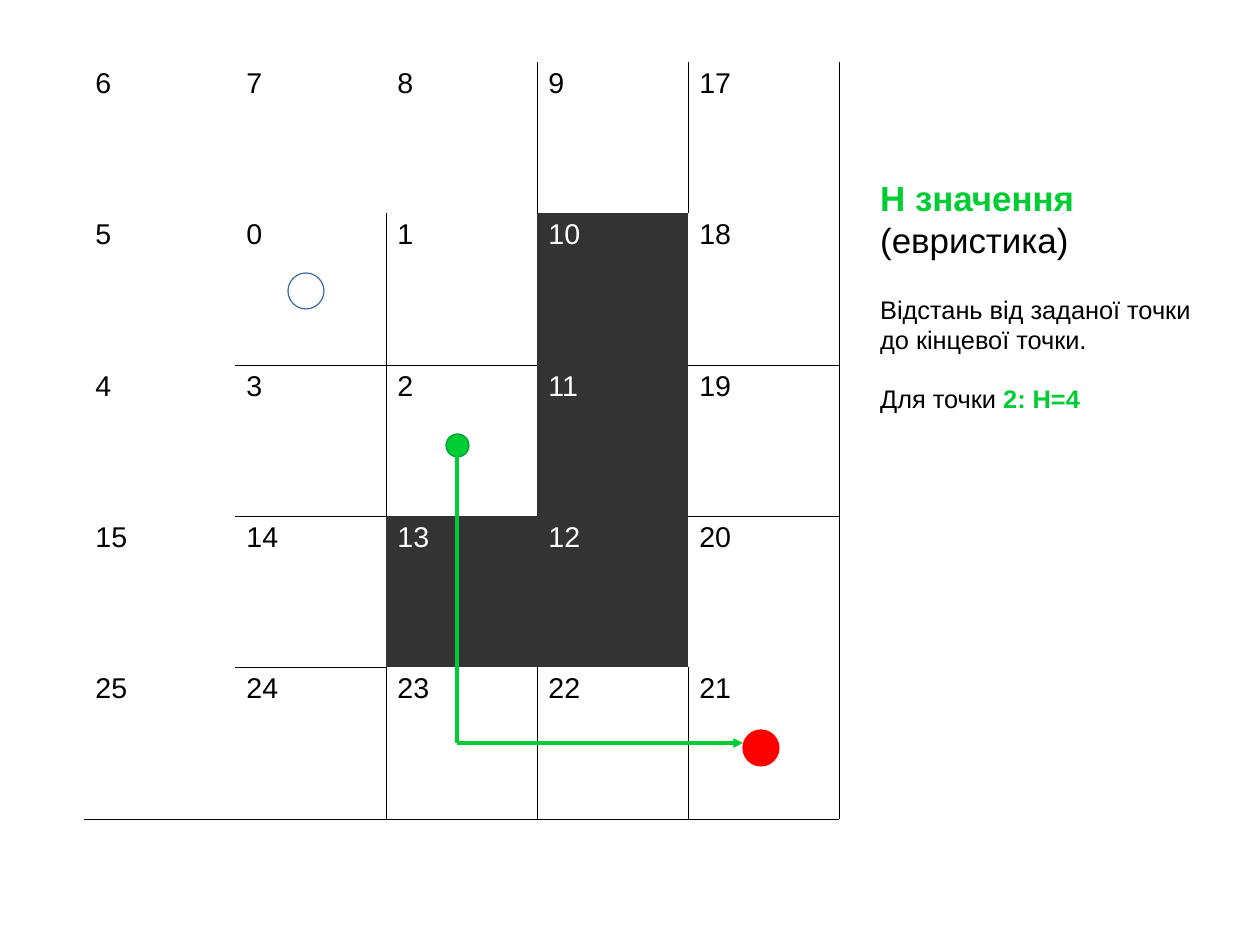
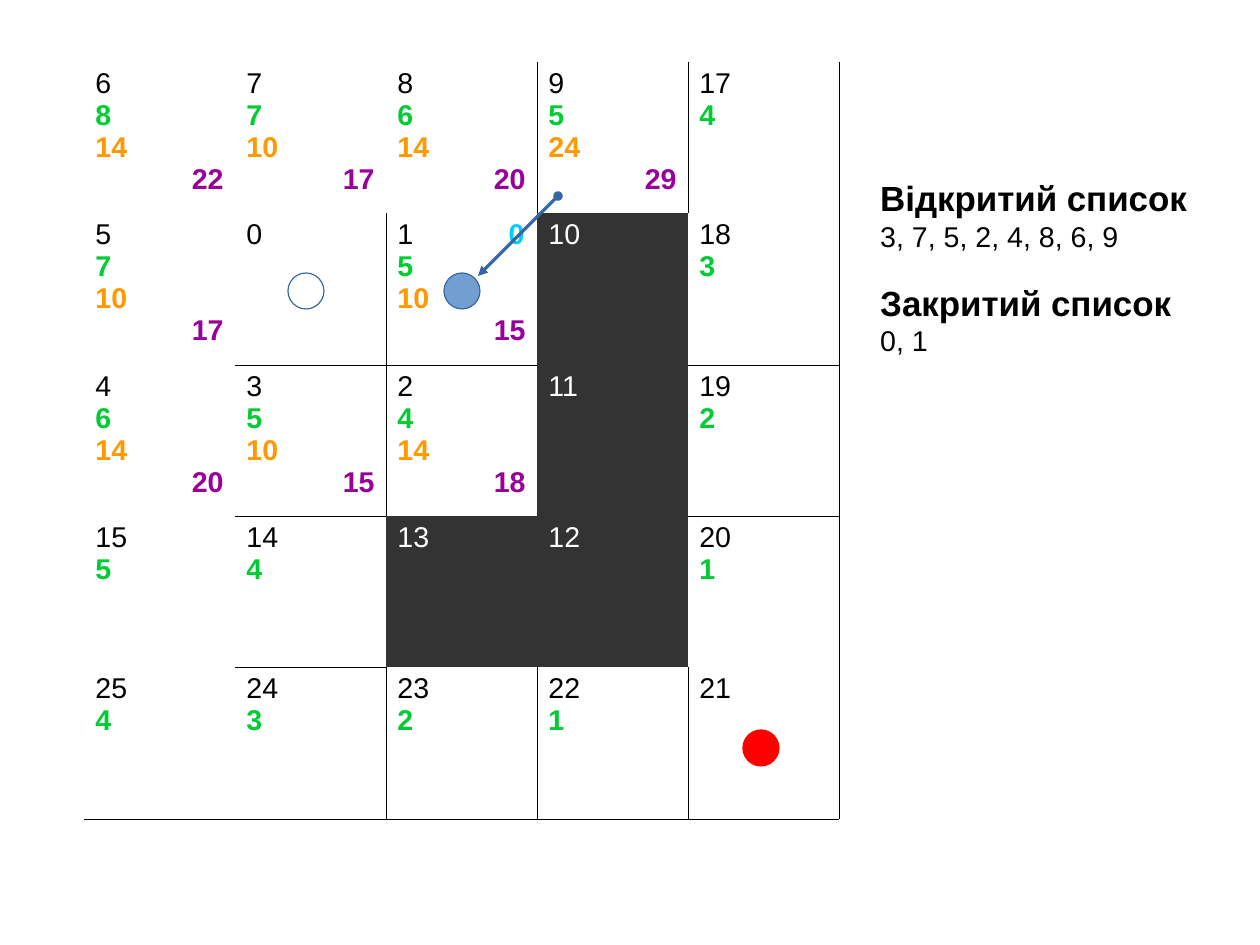
from dataclasses import dataclass

from lxml.etree import SubElement
from pptx import Presentation
from pptx.dml.color import RGBColor
from pptx.enum.shapes import MSO_CONNECTOR as CONN, MSO_SHAPE as SHAPE
from pptx.enum.text import PP_ALIGN as ALIGN
from pptx.oxml.ns import qn
from pptx.util import Emu, Pt


@dataclass(frozen=True)
class Theme:
    font: str = "Arial"
    ink: str = "000000"
    paper: str = "FFFFFF"
    wall: str = "333333"
    h: str = "00CC33"
    g: str = "FF9900"
    f: str = "990099"
    order: str = "00CCFF"
    goal: str = "FF0000"
    outline: str = "3465A4"
    current: str = "729FCF"
    point_outline: str = "009933"
    title: int = 22
    body: int = 18
    note: int = 16


T = Theme()
EMU_PER_PX = 8000
SLIDE_W, SLIDE_H = 1260, 945
BORDER_W = 762

# Maze content
GRID = [
    [6, 7, 8, 9, 17],
    [5, 0, 1, 10, 18],
    [4, 3, 2, 11, 19],
    [15, 14, 13, 12, 20],
    [25, 24, 23, 22, 21],
]
WALLS = {10, 11, 12, 13}
START, GOAL, CURRENT = 0, 21, 1
GOAL_ROW, GOAL_COL = 4, 4
G_VALUES = {6: 14, 7: 10, 8: 14, 9: 24, 5: 10, 1: 10, 4: 14, 3: 10, 2: 14}

# Columns with a line on their right, and on their bottom, for each row
RIGHT_LINES = [{2, 3, 4}, {1, 4}, {1, 4}, {4}, {1, 2, 3, 4}]
BOTTOM_LINES = [set(), {1, 2, 4}, {1, 4}, {1}, {0, 1, 2, 3, 4}]

TABLE_X, TABLE_Y, COL_W = 84, 62, 151
ROW_H = [151, 152, 151, 151, 152]
ORDER_TAB = 127

# Side text: paragraphs of (text, format) runs
TITLE = dict(size=T.title, bold=True)
H_TEXT = [
    [("H значення ", dict(TITLE, color=T.h)), ("(евристика)", dict(size=T.title))],
    [("Відстань від заданої точки до кінцевої точки.", dict(size=T.note, before=21))],
    [("Для точки ", dict(size=T.note, before=18)),
     ("2: H=4", dict(size=T.note, color=T.h, bold=True))],
]
LISTS_TEXT = [
    [("Відкритий список", TITLE)],
    [("3, 7, 5, 2, 4, 8, 6, 9", {})],
    [("Закритий список", dict(TITLE, before=18))],
    [("0, 1", {})],
]


def px(n):
    return Emu(n * EMU_PER_PX)


def rgb(color):
    return RGBColor.from_string(color)


def put(tf, text, size=T.body, color=T.ink, bold=False, align=None, before=None, join=False):
    """Add text as a new paragraph, or as a run of the last one if join is set."""
    p = tf.paragraphs[-1]
    if p.runs and not join:
        p = tf.add_paragraph()
    if align is not None:
        p.alignment = align
    if before is not None:
        p.space_before = Pt(before)
    r = p.add_run()
    r.text = text
    r.font.name, r.font.size, r.font.bold = T.font, Pt(size), bold
    r.font.color.rgb = rgb(color)
    return p


def set_borders(cell, **shown):
    tc_pr = cell._tc.get_or_add_tcPr()
    for side in "LRTB":
        ln = SubElement(tc_pr, qn(f"a:ln{side}"), w=str(BORDER_W if shown[side] else 0))
        if shown[side]:
            fill = SubElement(ln, qn("a:solidFill"))
            SubElement(fill, qn("a:srgbClr"), val=T.ink)
        else:
            SubElement(ln, qn("a:noFill"))


def put_scores(tf, p, n, row, col):
    """Write the H, G and F values of a cell below its number."""
    if n in WALLS or n in (START, GOAL):
        return
    if n == CURRENT:
        tabs = SubElement(p._p.get_or_add_pPr(), qn("a:tabLst"))
        SubElement(tabs, qn("a:tab"), pos=str(px(ORDER_TAB)), algn="r")
        put(tf, "\t0", color=T.order, bold=True, join=True)
    h = abs(GOAL_ROW - row) + abs(GOAL_COL - col)
    put(tf, str(h), color=T.h, bold=True)
    if n in G_VALUES:
        g = G_VALUES[n]
        put(tf, str(g), color=T.g, bold=True)
        put(tf, str(g + h), color=T.f, bold=True, align=ALIGN.RIGHT)


def add_maze(s, scores):
    table = s.shapes.add_table(len(GRID), len(GRID[0]), px(TABLE_X), px(TABLE_Y),
                               px(COL_W * len(GRID[0])), px(sum(ROW_H))).table
    table.first_row = table.horz_banding = False
    for column in table.columns:
        column.width = px(COL_W)
    for row, numbers in enumerate(GRID):
        table.rows[row].height = px(ROW_H[row])
        for col, n in enumerate(numbers):
            cell = table.cell(row, col)
            set_borders(cell,
                        L=col - 1 in RIGHT_LINES[row],
                        R=col in RIGHT_LINES[row],
                        T=row > 0 and col in BOTTOM_LINES[row - 1],
                        B=col in BOTTOM_LINES[row])
            cell.fill.solid()
            cell.fill.fore_color.rgb = rgb(T.wall if n in WALLS else T.paper)
            tf = cell.text_frame
            p = put(tf, str(n), color=T.paper if n in WALLS else T.ink)
            if scores:
                put_scores(tf, p, n, row, col)


def add_dot(s, x, y, fill, line, size=36):
    sp = s.shapes.add_shape(SHAPE.OVAL, px(x), px(y), px(size), px(size))
    sp.shadow.inherit = False
    sp.fill.solid()
    sp.fill.fore_color.rgb = rgb(fill)
    sp.line.color.rgb = rgb(line)
    sp.line.width = Emu(0)


def add_line(s, start, end, color, head=None, tail=None):
    sp = s.shapes.add_connector(CONN.STRAIGHT, *map(px, start + end))
    sp.line.color.rgb = rgb(color)
    sp.line.width = Emu(0)
    ln = sp.line._get_or_add_ln()
    for tag, kind in (("a:headEnd", head), ("a:tailEnd", tail)):
        if kind:
            SubElement(ln, qn(tag), type=kind)
    SubElement(sp._element.spPr, qn("a:effectLst"))


def add_side_text(s, paragraphs, height):
    tf = s.shapes.add_textbox(px(869), px(171), px(344), px(height)).text_frame
    tf.word_wrap = True
    for runs in paragraphs:
        for i, (text, style) in enumerate(runs):
            put(tf, text, join=i > 0, **style)


def add_maze_slide(prs, scores=False):
    """Add a slide with the maze, its start and its goal."""
    s = prs.slides.add_slide(prs.slide_layouts[6])
    add_maze(s, scores)
    add_dot(s, 288, 273, T.paper, T.outline)
    add_dot(s, 743, 730, T.goal, T.goal)
    return s


def main():
    prs = Presentation()
    prs.slide_width, prs.slide_height = px(SLIDE_W), px(SLIDE_H)

    s = add_maze_slide(prs)
    add_side_text(s, H_TEXT, 263)
    corner = (457, 743)
    add_line(s, corner, (743, 743), T.h, tail="triangle")
    add_dot(s, 446, 434, T.h, T.point_outline, size=23)
    add_line(s, corner, (457, 446), T.h)

    s = add_maze_slide(prs, scores=True)
    add_dot(s, 444, 273, T.current, T.outline)
    add_line(s, (478, 276), (558, 196), T.outline, head="triangle", tail="oval")
    add_side_text(s, LISTS_TEXT, 182)

    prs.save("out.pptx")


if __name__ == "__main__":
    main()
